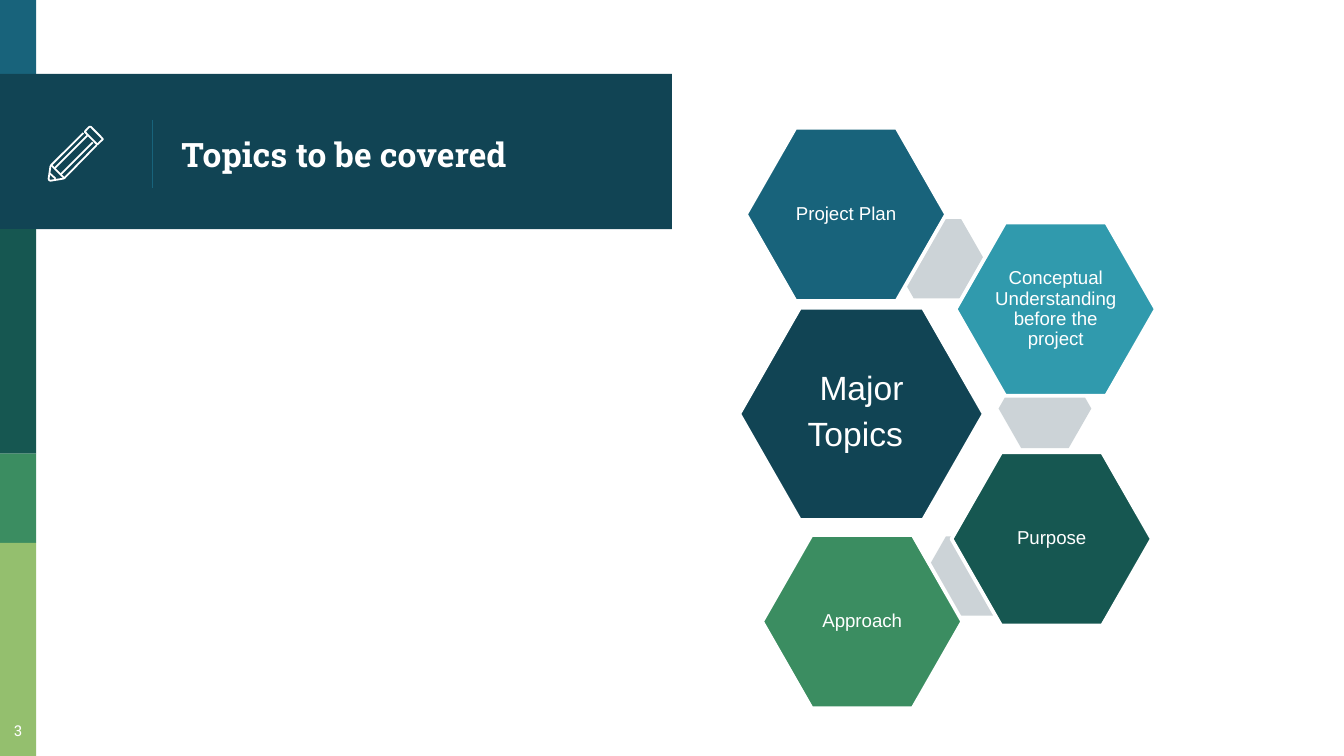
from dataclasses import dataclass
from typing import NamedTuple

from lxml.etree import SubElement
from pptx import Presentation
from pptx.dml.color import RGBColor
from pptx.enum.shapes import MSO_CONNECTOR as Connector, MSO_SHAPE as Preset
from pptx.enum.text import MSO_ANCHOR as Anchor, MSO_AUTO_SIZE as AutoSize, PP_ALIGN as Align
from pptx.oxml.ns import qn
from pptx.util import Inches, Pt


@dataclass(frozen=True)
class Theme:
    white: str = "FFFFFF"
    navy: str = "114454"
    blue: str = "18637B"
    teal: str = "309AAD"
    forest: str = "165751"
    green: str = "3B8D61"
    lime: str = "94BF6E"
    grey: str = "CCD3D7"
    heading_font: str = "Roboto Slab"
    body_font: str = "Arial"
    heading_size: float = 18
    space_size: float = 24
    topic_size: float = 10
    number_size: float = 8


class Box(NamedTuple):
    """Left, top, width and height in grid cells."""
    column: float
    row: float
    columns: float
    rows: float


class Band(NamedTuple):
    box: Box
    color: str


class Hexagon(NamedTuple):
    box: Box
    color: str
    text: str = ""
    size: float = 10
    margin: float = 0.01


THEME = Theme()
COLUMNS, ROWS = 100, 56.25  # square cells, a tenth of an inch
BAR = 2.7


def cells(count: float) -> int:
    return Inches(count / 10)


def place(box: Box) -> tuple[int, ...]:
    return tuple(cells(value) for value in box)


def rgb(color: str) -> RGBColor:
    return RGBColor.from_string(color)


def set_font(font, name: str, size: float, bold: bool = False) -> None:
    font.name, font.size, font.bold = name, Pt(size), bold
    font.color.rgb = rgb(THEME.white)


def set_margins(frame, margin: float) -> None:
    frame.margin_left = frame.margin_right = Inches(margin)
    frame.margin_top = frame.margin_bottom = Inches(margin)


def add_preset(shapes, preset, box: Box, color: str):
    shape = shapes.add_shape(preset, *place(box))
    shape.shadow.inherit = False
    shape.fill.solid()
    shape.fill.fore_color.rgb = rgb(color)
    shape.line.fill.background()
    return shape


def add_hexagon(shapes, hexagon: Hexagon):
    shape = add_preset(shapes, Preset.HEXAGON, hexagon.box, hexagon.color)
    shape.adjustments[0] = 0.286
    if not hexagon.text:
        return shape
    shape.line.color.rgb = rgb(THEME.white)
    shape.line.width = Pt(2)
    frame = shape.text_frame
    frame.word_wrap = True
    frame.vertical_anchor = Anchor.MIDDLE
    set_margins(frame, hexagon.margin)
    paragraph = frame.paragraphs[0]
    paragraph.alignment = Align.CENTER
    paragraph.line_spacing = 0.9
    run = paragraph.add_run()
    run.text = hexagon.text
    set_font(run.font, THEME.body_font, hexagon.size)
    return shape


def add_stroke(shapes, points: list[tuple[float, float]], closed: bool) -> None:
    (start, *rest) = [(cells(x), cells(y)) for x, y in points]
    builder = shapes.build_freeform(*start)
    builder.add_line_segments(rest, close=closed)
    shape = builder.convert_to_shape()
    shape.shadow.inherit = False
    shape.fill.background()
    shape.line.color.rgb = rgb(THEME.white)
    shape.line.width = Pt(0.96)


def link(column: float, row: float) -> Hexagon:
    return Hexagon(Box(column, row, 6.9, 5.9), THEME.grey)


def topic(column: float, row: float, color: str, text: str) -> Hexagon:
    return Hexagon(Box(column, row, 14.9, 12.9), color, text, THEME.topic_size)


BANDS = [
    Band(Box(0, 0, BAR, 5.8), THEME.blue),
    Band(Box(0, 5.5, COLUMNS / 2, 11.55), THEME.navy),
    Band(Box(0, 17.05, BAR, 16.7), THEME.forest),
    Band(Box(0, 33.75, BAR, 6.65), THEME.green),
    Band(Box(0, 40.4, BAR, ROWS - 40.4), THEME.lime),
]

# Pencil outline in grid cells, with True for closed strokes
PENCIL = [
    ([(7.62, 10.3), (6.82, 9.5), (6.75, 9.43), (6.68, 9.43), (6.62, 9.47),
      (6.3, 9.8), (7.24, 10.76), (7.6, 10.42), (7.66, 10.37)], True),
    ([(6.9, 10.6), (4.5, 13)], False),
    ([(6.2, 9.9), (3.8, 12.3), (3.75, 12.4), (3.62, 13.3), (3.65, 13.4),
      (3.75, 13.45), (4.7, 13.3), (4.8, 13.25), (7.2, 10.8)], False),
    ([(4.1, 12.5), (6.5, 10.1)], False),
    ([(4.15, 13.3), (3.7, 12.9)], False),
    ([(3.83, 12.3), (4.77, 13.24)], False),
]

CENTER = Hexagon(Box(55, 22.9, 18.2, 15.8), THEME.navy, "Major Topics",
                 THEME.heading_size, 0.03)

# Links lie beneath the topics that follow them
TOPICS = [
    link(66.3, 16.3),
    topic(55.5, 9.5, THEME.blue, "Project Plan"),
    link(74.3, 27.45),
    topic(71.1, 16.55, THEME.teal, "Conceptual Understanding before the project"),
    link(68.7, 39.9),
    topic(70.8, 33.65, THEME.forest, "Purpose"),
    topic(56.7, 39.8, THEME.green, "Approach"),
]


def add_title(slide, text: str) -> None:
    title = slide.shapes.title
    title.left, title.top, title.width, title.height = place(Box(12.5, 5.85, 35.1, 11.2))
    frame = title.text_frame
    frame.text = text
    frame.word_wrap = True
    frame.auto_size = AutoSize.NONE
    frame.vertical_anchor = Anchor.MIDDLE
    set_margins(frame, 0.1)
    paragraph = frame.paragraphs[0]
    paragraph.alignment = Align.LEFT
    set_font(paragraph.font, THEME.heading_font, THEME.heading_size, True)
    # Bring the title in front of the bands
    tree = title.element.getparent()
    tree.append(title.element)


def add_divider(shapes) -> None:
    line = shapes.add_connector(Connector.STRAIGHT, cells(11.35), cells(8.9), cells(11.35), cells(14))
    line.line.color.rgb = rgb(THEME.blue)
    line.line.width = Pt(0.75)
    SubElement(line.element.spPr, qn("a:effectLst"))


def add_page_number(shapes, text: str) -> None:
    frame = shapes.add_textbox(*place(Box(-0.55, 53, 3.8, 3.25))).text_frame
    frame.text = text
    frame.word_wrap = True
    set_margins(frame, 0.1)
    paragraph = frame.paragraphs[0]
    paragraph.alignment = Align.CENTER
    set_font(paragraph.font, THEME.heading_font, THEME.number_size)


def main() -> None:
    presentation = Presentation()
    presentation.slide_width, presentation.slide_height = cells(COLUMNS), cells(ROWS)
    slide = presentation.slides.add_slide(presentation.slide_layouts[5])
    shapes = slide.shapes

    # Side bar and heading
    for band in BANDS:
        add_preset(shapes, Preset.RECTANGLE, band.box, band.color)
    add_divider(shapes)
    add_title(slide, "Topics to be covered")
    pencil = shapes.add_group_shape()
    for points, closed in PENCIL:
        add_stroke(pencil.shapes, points, closed)
    add_page_number(shapes, "3")

    # Hexagon diagram; a larger space opens up the centre's lines
    diagram = shapes.add_group_shape()
    center = add_hexagon(diagram.shapes, CENTER)
    space = center.text_frame.paragraphs[0].add_run()
    space.text = " "
    set_font(space.font, THEME.body_font, THEME.space_size)
    for hexagon in TOPICS:
        add_hexagon(diagram.shapes, hexagon)

    presentation.save("out.pptx")


if __name__ == "__main__":
    main()
